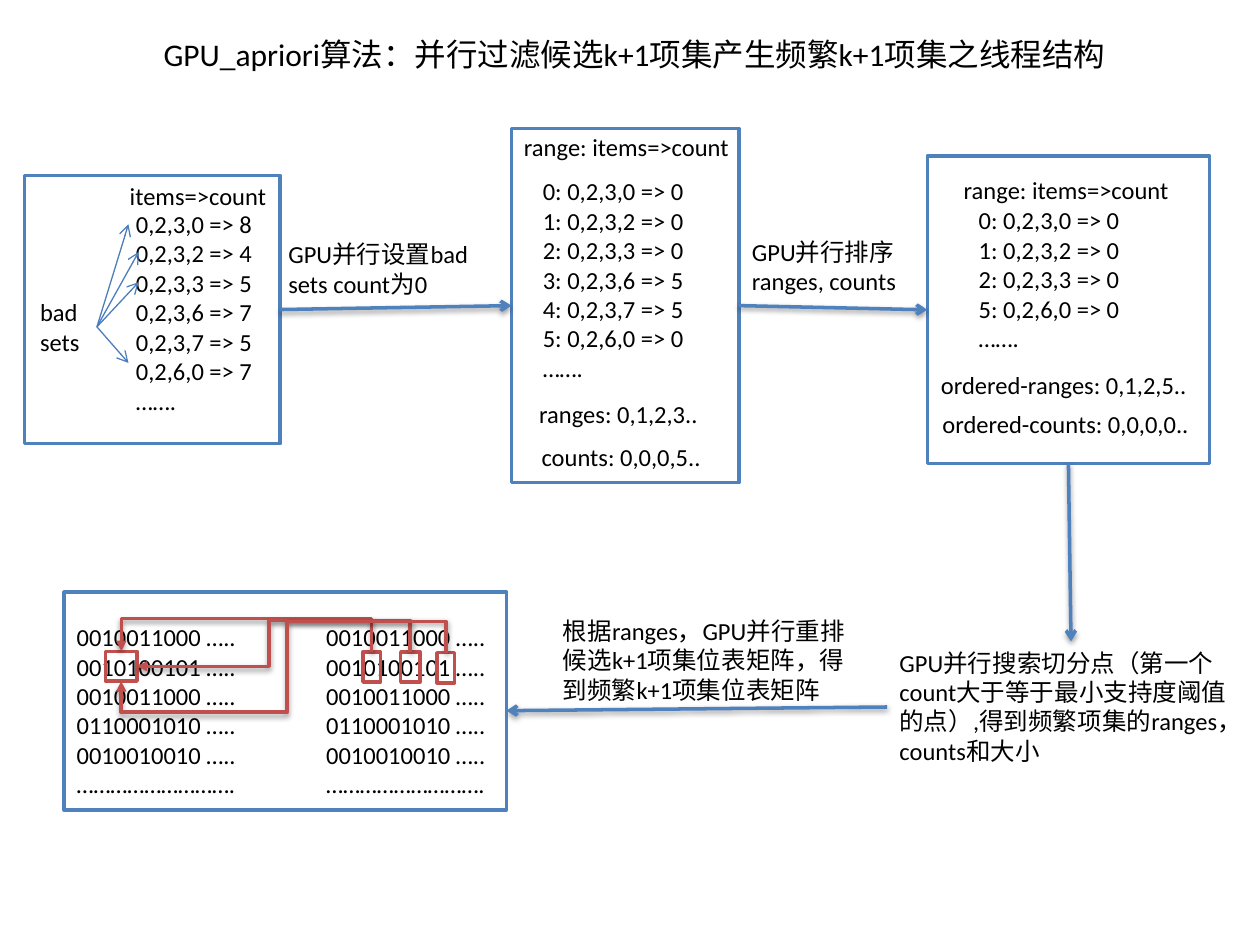
from dataclasses import dataclass
from typing import NamedTuple, Optional

from lxml import etree
from pptx import Presentation
from pptx.dml.color import RGBColor
from pptx.enum import shapes, text
from pptx.oxml import ns
from pptx.util import Pt


@dataclass(frozen=True)
class Theme:
    font: str = "Calibri"
    title: float = 18
    body: float = 14
    ink: str = "000000"
    blue: str = "4F81BD"
    thin: str = "4B7EBC"
    red: str = "C0504D"
    line: float = 2
    hair: float = 0.75


class Box(NamedTuple):
    x: float
    y: float
    w: float
    h: float


class Dot(NamedTuple):
    x: float
    y: float


class Join(NamedTuple):
    """A side of a shape: 0 top, 1 left, 2 bottom, 3 right."""
    shape: object
    side: int


class Note(NamedTuple):
    box: Box
    words: str


T = Theme()
prs = Presentation()
prs.slide_width, prs.slide_height = Pt(720), Pt(540)
slide = prs.slides.add_slide(prs.slide_layouts[6])


def write(box: Box, words: str, size: float = T.body, wrap: bool = True,
          align: Optional[text.PP_ALIGN] = None):
    shape = slide.shapes.add_textbox(*map(Pt, box))
    frame = shape.text_frame
    frame.word_wrap = wrap
    frame.auto_size = text.MSO_AUTO_SIZE.SHAPE_TO_FIT_TEXT
    frame.text = words
    for para in frame.paragraphs:
        para.alignment = align
        para.font.name = T.font
        para.font.size = Pt(size)
        para.font.color.rgb = RGBColor.from_string(T.ink)
    return shape


def frame(box: Box, color: str = T.blue):
    """Draw an unfilled rectangle."""
    shape = slide.shapes.add_shape(shapes.MSO_SHAPE.RECTANGLE, *map(Pt, box))
    shape.shadow.inherit = False
    shape.fill.background()
    shape.line.color.rgb = RGBColor.from_string(color)
    shape.line.width = Pt(T.line)
    return shape


def add(root, tag: str, **attrs):
    return etree.SubElement(root, ns.qn(tag), **{k: str(v) for k, v in attrs.items()})


def style(link, color: str, width: float, head: str, shade: bool) -> None:
    """Set the line, its end arrowhead and its shadow."""
    link.line.color.rgb = RGBColor.from_string(color)
    link.line.width = Pt(width)
    add(link.line._get_or_add_ln(), "a:tailEnd", type=head)
    fx = add(link._element.spPr, "a:effectLst")
    if shade:
        cast = add(fx, "a:outerShdw", blurRad=Pt(3.1), dist=Pt(1.6),
                   dir=5400000, rotWithShape=0)
        add(add(cast, "a:srgbClr", val="000000"), "a:alpha", val=38000)


def arrow(start, end, color: str = T.blue, width: float = T.line,
          shade: bool = True) -> None:
    """Draw a straight arrow between joins or free dots."""
    ends = [p if isinstance(p, Dot) else Dot(0, 0) for p in (start, end)]
    link = slide.shapes.add_connector(
        shapes.MSO_CONNECTOR.STRAIGHT, *(Pt(v) for p in ends for v in p))
    if isinstance(start, Join):
        link.begin_connect(*start)
    if isinstance(end, Join):
        link.end_connect(*end)
    style(link, color, width, "arrow", shade)


def route(start: Join, end: Join, a: Dot, b: Dot, top: float,
          turn: Optional[float] = None, low: Optional[float] = None) -> None:
    """Draw an elbow that rises from a to top, turns down at turn, and ends at b."""
    link = slide.shapes.add_connector(
        shapes.MSO_CONNECTOR.ELBOW, *(Pt(v) for v in (*a, *b)))
    link.begin_connect(*start)
    link.end_connect(*end)
    w, h = abs(a.y - b.y), abs(a.x - b.x)
    link.left, link.top = Pt((a.x + b.x - w) / 2), Pt((a.y + b.y - h) / 2)
    link.width, link.height = Pt(w), Pt(h)
    form = link._element.spPr.find(ns.qn("a:xfrm"))
    form.set("rot", "16200000")
    form.set("flipH", "1" if b.y > a.y else "0")
    form.set("flipV", "1")
    bends = [(a.y - top) / (a.y - b.y)]
    if turn is not None:
        bends.append((a.x - turn) / (a.x - b.x))
    if low is not None:
        bends.append((a.y - low) / (a.y - b.y))
    geom = link._element.spPr.find(ns.qn("a:prstGeom"))
    geom.set("prst", f"bentConnector{len(bends) + 2}")
    guides = geom.find(ns.qn("a:avLst"))
    if guides is None:
        guides = add(geom, "a:avLst")
    for i, bend in enumerate(bends, 1):
        add(guides, "a:gd", name=f"adj{i}", fmla=f"val {round(bend * 100000)}")
    style(link, T.red, T.line, "triangle", True)


def main() -> None:
    write(Box(25.2, 16.6, 674.6, 29), "GPU_apriori算法：并行过滤候选k+1项集产生频繁k+1项集之线程结构",
          size=T.title, align=text.PP_ALIGN.CENTER)

    notes = [
        Note(Box(70.6, 115.9, 83.5, 126),
             "0,2,3,0 => 8\n0,2,3,2 => 4\n0,2,3,3 => 5\n0,2,3,6 => 7\n"
             "0,2,3,7 => 5\n0,2,6,0 => 7\n……."),
        Note(Box(303.1, 97.2, 108, 126),
             "0: 0,2,3,0 => 0\n1: 0,2,3,2 => 0\n2: 0,2,3,3 => 0\n3: 0,2,3,6 => 5\n"
             "4: 0,2,3,7 => 5\n5: 0,2,6,0 => 0\n……."),
        Note(Box(552.2, 113.8, 105, 92),
             "0: 0,2,3,0 => 0\n1: 0,2,3,2 => 0\n2: 0,2,3,3 => 0\n5: 0,2,6,0 => 0\n……."),
        Note(Box(67, 100, 93, 24.5), "items=>count"),
        Note(Box(292.3, 72, 134, 24.5), "range: items=>count"),
        Note(Box(543.6, 96.5, 142, 24.5), "range: items=>count"),
        Note(Box(301, 224.6, 110, 24.5), "ranges: 0,1,2,3.."),
        Note(Box(302.4, 249.1, 112.3, 24.5), "counts: 0,0,0,5.."),
        Note(Box(530.6, 208, 166.3, 24.5), "ordered-ranges: 0,1,2,5.."),
        Note(Box(531.4, 230.4, 166.3, 24.5), "ordered-counts: 0,0,0,0.."),
        Note(Box(157.7, 133.2, 129.6, 41), "GPU并行设置bad sets count为0"),
        Note(Box(422.6, 131.8, 109.4, 41), "GPU并行排序ranges, counts"),
        Note(Box(314.6, 348.5, 180, 58.3),
             "根据ranges，GPU并行重排候选k+1项集位表矩阵，得到频繁k+1项集位表矩阵"),
    ]
    for note in notes:
        write(note.box, note.words)

    bad = write(Box(15.8, 166.3, 39.6, 41), "bad\nsets", wrap=False)
    for tip in (Dot(73.4, 128.2), Dot(79.2, 144), Dot(79.2, 161.3), Dot(73.4, 207.4)):
        arrow(Join(bad, 3), tip, color=T.thin, width=T.hair, shade=False)

    count = frame(Box(14.1, 100.2, 146, 153.4))
    reset = frame(Box(292.3, 73.5, 130, 202.3))
    order = frame(Box(529.9, 89.3, 161.3, 175.5))
    split = write(Box(506.9, 366.5, 210.2, 75),
                  "GPU并行搜索切分点（第一个count大于等于最小支持度阈值的点）,"
                  "得到频繁项集的ranges，counts和大小")
    arrow(Join(count, 3), Join(reset, 1))
    arrow(Join(reset, 3), Join(order, 1))
    arrow(Join(order, 2), Join(split, 0))
    arrow(Join(split, 1), Dot(289.4, 406.1))

    bits = ("0010011000 …..\n0010100101 …..\n0010011000 …..\n"
            "0110001010 …..\n0010010010 …..\n……………………….")
    for x in (36.7, 179.3):
        write(Box(x, 352, 110.2, 108.7), bits, wrap=False)
    goal = frame(Box(60.3, 372.2, 18, 17), T.red)
    cells = [frame(Box(x, y, w, 17.3), T.red)
             for x, y, w in ((207.4, 372.5, 10), (229, 372.5, 11), (249.8, 373, 10))]
    route(Join(cells[0], 0), Join(goal, 0), Dot(212.4, 372.5), Dot(69.3, 372.2), 354.2)
    route(Join(cells[1], 0), Join(goal, 3), Dot(234.5, 372.5), Dot(78.3, 380.7),
          354.5, turn=153.7)
    route(Join(cells[2], 0), Join(goal, 2), Dot(254.8, 373), Dot(69.3, 389.2),
          355, turn=164, low=407)
    frame(Box(36.7, 338.4, 252.7, 124.6))

    prs.save("out.pptx")


if __name__ == "__main__":
    main()
